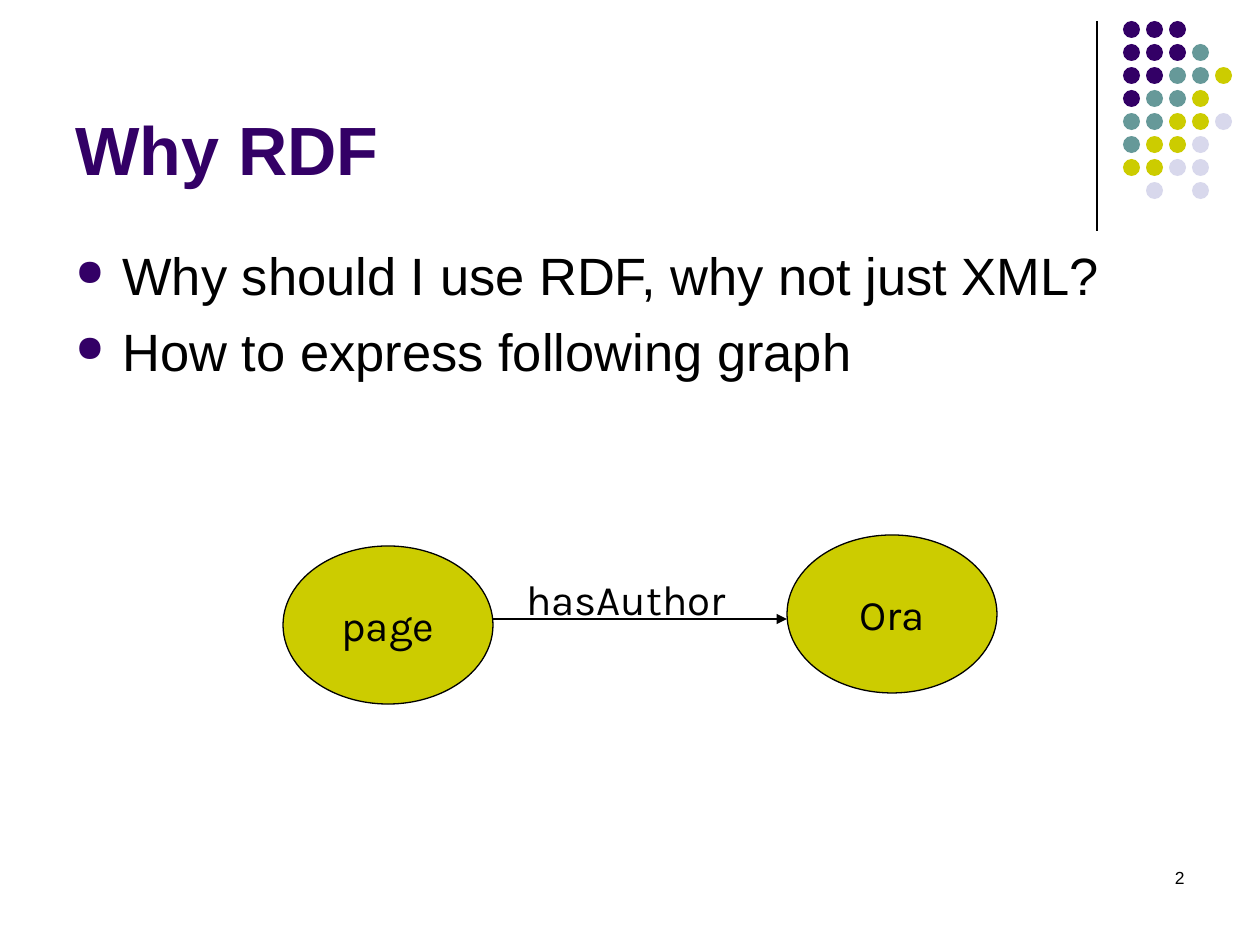
"""Build the "Why RDF" slide with a two-node graph and a dot pattern."""
from lxml import etree
from pptx import Presentation
from pptx.dml.color import RGBColor
from pptx.enum.shapes import MSO_CONNECTOR, MSO_SHAPE
from pptx.enum.text import MSO_ANCHOR, PP_ALIGN
from pptx.oxml.ns import qn
from pptx.util import Pt

PX = 914400 / 126
OVAL, STRAIGHT = MSO_SHAPE.OVAL, MSO_CONNECTOR.STRAIGHT
TOP, MIDDLE, BOTTOM = MSO_ANCHOR.TOP, MSO_ANCHOR.MIDDLE, MSO_ANCHOR.BOTTOM
LEFT, CENTER, RIGHT = PP_ALIGN.LEFT, PP_ALIGN.CENTER, PP_ALIGN.RIGHT
COLORS = {"purple": "330066", "teal": "669999", "olive": "CCCC00",
          "pale": "D8D8EC", "black": "000000"}
RGB = {name: RGBColor.from_string(value) for name, value in COLORS.items()}


def emu(*lengths):
    return [round(n * PX) for n in lengths]


def write(sp, lines, fmt, align=LEFT, anchor=TOP, wrap=True, color="black"):
    tf = sp.text_frame
    tf.word_wrap, tf.vertical_anchor = wrap, anchor
    for i, line in enumerate(lines):
        p = tf.add_paragraph() if i else tf.paragraphs[0]
        p.alignment = align
        r = p.add_run()
        r.text = line
        r.font.color.rgb = RGB[color]
        for name, value in fmt.items():
            setattr(r.font, name, value)
    return tf


prs = Presentation()
prs.slide_width, prs.slide_height = emu(1260, 945)
s = prs.slides.add_slide(prs.slide_layouts[6])

DOT_KEYS = {"P": "purple", "T": "teal", "O": "olive", "L": "pale"}
DOT_ROWS = ["PPP", "PPPT", "PPTTO", "PTTO", "TTOOL", "TOOL", "OOLL", " L L"]
dots = s.shapes.add_group_shape().shapes
for row, keys in enumerate(DOT_ROWS):
    for col, key in enumerate(keys):
        if key in DOT_KEYS:
            sp = dots.add_shape(OVAL, *emu(1123 + 23 * col, 21 + 23 * row, 17, 17))
            sp.shadow.inherit = False
            sp.fill.solid()
            sp.fill.fore_color.rgb = RGB[DOT_KEYS[key]]
            sp.line.fill.background()

title = s.shapes.add_textbox(*emu(63, 16, 1040, 179))
write(title, ["Why RDF"], {"name": "Arial", "size": Pt(39), "bold": True},
      anchor=BOTTOM, color="purple")

body = s.shapes.add_textbox(*emu(63, 237, 1134, 607))
tf = write(body, ["Why should I use RDF, why not just XML?",
                  "How to express following graph"],
           {"name": "Arial", "size": Pt(30)})
indent = emu(47)[0]
for p in tf.paragraphs:
    pPr = p._p.get_or_add_pPr()
    pPr.set("marL", str(indent))
    pPr.set("indent", str(-indent))
    clr = etree.SubElement(pPr, qn("a:buClr"))
    etree.SubElement(clr, qn("a:srgbClr"), val=COLORS["purple"])
    etree.SubElement(pPr, qn("a:buSzPct"), val="70000")
    etree.SubElement(pPr, qn("a:buChar"), char="●")
tf.paragraphs[1].space_before = Pt(7.5)

GRAPH_FONT = {"name": "Karla", "size": Pt(24)}
for label, x, y in [("page", 283, 546), ("Ora", 787, 535)]:
    sp = s.shapes.add_shape(OVAL, *emu(x, y, 210, 158))
    sp.shadow.inherit = False
    sp.fill.solid()
    sp.fill.fore_color.rgb = RGB["olive"]
    sp.line.color.rgb = RGB["black"]
    sp.line.width = Pt(0.75)
    write(sp, [label], GRAPH_FONT, CENTER, MIDDLE, wrap=False)

for x1, y1, x2, y2, arrow in [(1097, 21, 1097, 231, False),
                              (493, 619, 787, 619, True)]:
    line = s.shapes.add_connector(STRAIGHT, *emu(x1, y1, x2, y2))
    line.line.color.rgb = RGB["black"]
    line.line.width = Pt(0.75)
    if arrow:
        etree.SubElement(line.line._get_or_add_ln(), qn("a:tailEnd"), type="triangle")
    etree.SubElement(line._element.spPr, qn("a:effectLst"))

edge = s.shapes.add_textbox(*emu(514, 567, 262, 63))
write(edge, ["hasAuthor"], GRAPH_FONT)

number = s.shapes.add_textbox(*emu(903, 861, 294, 63))
write(number, ["2"], {"name": "Arial", "size": Pt(10)}, RIGHT)

prs.save("out.pptx")
